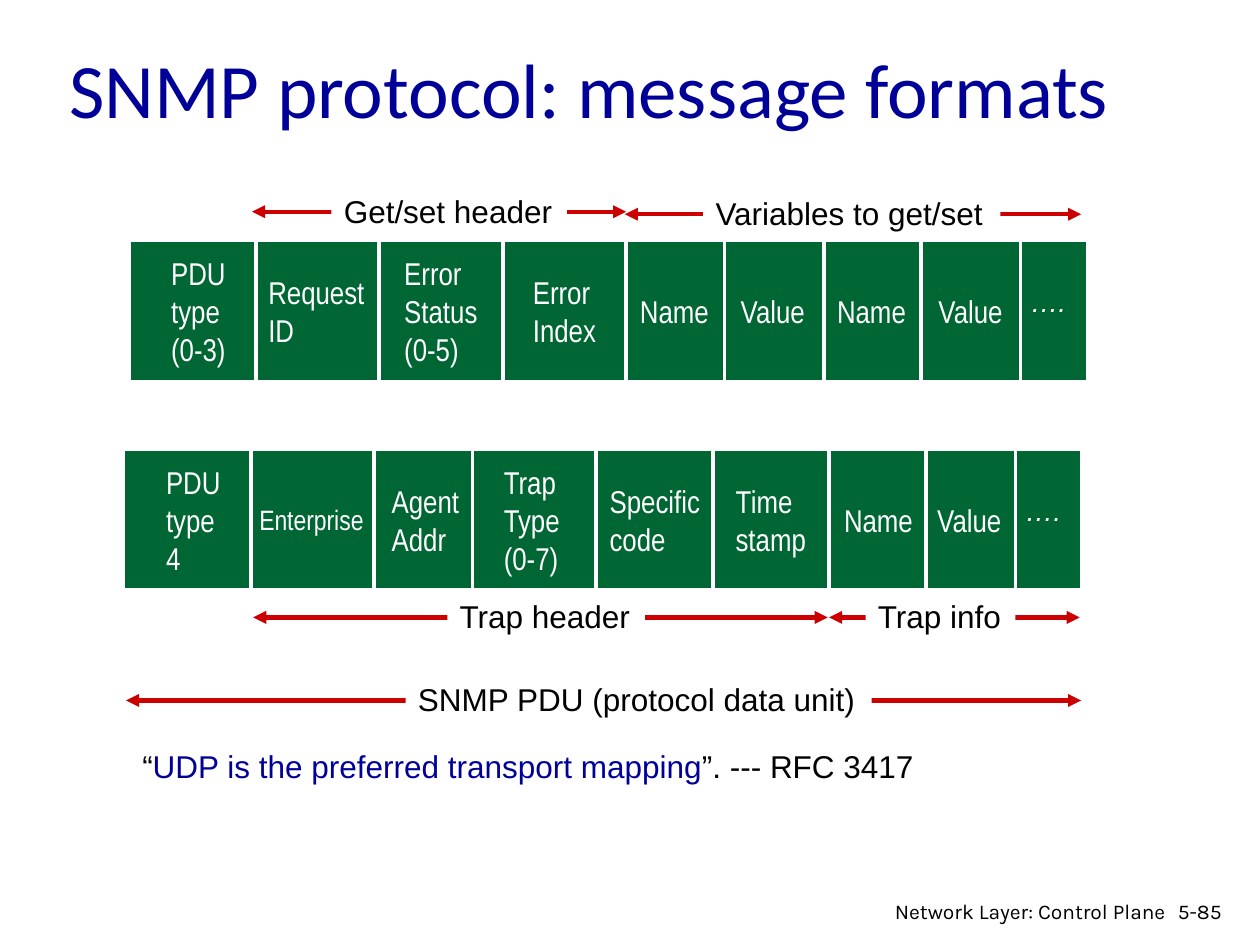
from pptx import Presentation
from pptx.dml.color import RGBColor
from pptx.enum.shapes import MSO_CONNECTOR as Connector, MSO_SHAPE as Shape
from pptx.enum.text import MSO_ANCHOR as Anchor, MSO_AUTO_SIZE as AutoSize, PP_ALIGN as Align
from pptx.oxml.ns import qn
from pptx.util import Pt
from lxml.etree import SubElement

WHITE, BLACK, GREEN, RED, BLUE = "FFFFFF", "000000", "006633", "CC0000", "000099"
color = RGBColor.from_string

presentation = Presentation()
presentation.slide_width, presentation.slide_height = Pt(720), Pt(540)
slide = presentation.slides.add_slide(presentation.slide_layouts[6])
shapes = slide.shapes


def add_text(text, left, top, width, height, size=18, font="Arial", ink=BLACK, fill=None,
             wrap=False, align=Align.LEFT, anchor=Anchor.TOP, italic=None, spacing=None):
    """Text is a string with line breaks, or one line given as (text, colour) runs."""
    box = shapes.add_textbox(Pt(left), Pt(top), Pt(width), Pt(height))
    if fill:
        box.fill.solid()
        box.fill.fore_color.rgb = color(fill)
    frame = box.text_frame
    frame.word_wrap = wrap
    frame.auto_size = AutoSize.NONE if wrap else AutoSize.SHAPE_TO_FIT_TEXT
    frame.vertical_anchor = anchor
    lines = [[(line, ink)] for line in text.split("\n")] if isinstance(text, str) else [text]
    for index, line in enumerate(lines):
        paragraph = frame.add_paragraph() if index else frame.paragraphs[0]
        paragraph.alignment = align
        if spacing:
            paragraph.line_spacing = Pt(spacing)
        for words, run_color in line:
            run = paragraph.add_run()
            run.text = words
            run.font.size, run.font.name, run.font.italic = Pt(size), font, italic
            run.font.color.rgb = color(run_color)


def add_line(x1, y1, x2, y2, ink, weight, arrows=False):
    connector = shapes.add_connector(Connector.STRAIGHT, Pt(x1), Pt(y1), Pt(x2), Pt(y2))
    connector.line.color.rgb = color(ink)
    connector.line.width = Pt(weight)
    if arrows:
        outline = connector.line._get_or_add_ln()
        for end in ("a:headEnd", "a:tailEnd"):
            SubElement(outline, qn(end), type="triangle")
    SubElement(connector._element.spPr, qn("a:effectLst"))


# Title
add_text("SNMP protocol: message formats", 32.4, 17.3, 612, 65.5, size=44, font="Calibri",
         ink=BLUE, wrap=True, anchor=Anchor.MIDDLE)

# Message rows: left, top, divider positions, fields as (text, left, width, size)
rows = [
    (74.2, 138.2, [146.2, 216.7, 287.3, 357.8, 414, 470.9, 526.3, 583.2],
     [("PDU\ntype\n(0-3)", 90.7, 46, 18), ("Request\nID", 146.2, 70, 18),
      ("Error\nStatus\n(0-5)", 223.9, 57, 18), ("Error\nIndex", 297.4, 51, 18),
      ("Name", 358.6, 54.5, 18), ("Value", 416.2, 52, 18),
      ("Name", 471.2, 54.5, 18), ("Value", 529.2, 52, 18)]),
    (71.3, 257.4, [143.3, 213.8, 270, 340.6, 407.5, 473.8, 529.2, 580.3],
     [("PDU\ntype\n4", 87.8, 46, 18), ("Enterprise", 141.1, 75, 16),
      ("Agent\nAddr", 216.7, 53.5, 18), ("Trap\nType\n(0-7)", 280.8, 47, 18),
      ("Specific\ncode", 341.3, 67, 18), ("Time\nstamp", 413.3, 55.5, 18),
      ("Name", 475.2, 54.5, 18), ("Value", 528.5, 52, 18)]),
]
ROW_WIDTH, ROW_HEIGHT = 546.5, 79.2
for left, top, dividers, fields in rows:
    bar = shapes.add_shape(Shape.RECTANGLE, Pt(left), Pt(top), Pt(ROW_WIDTH), Pt(ROW_HEIGHT))
    bar.shadow.inherit = False
    bar.fill.solid()
    bar.fill.fore_color.rgb = color(GREEN)
    bar.line.color.rgb = color(WHITE)
    bar.line.width = Pt(0.75)
    for x in dividers:
        add_line(x, top, x, top + ROW_HEIGHT + 1, WHITE, 2)
    middle = top + ROW_HEIGHT / 2
    for text, field_left, width, size in fields:
        height = 7.2 + 1.2 * size * (text.count("\n") + 1)
        add_text(text, field_left, middle - height / 2, width, height, size=size,
                 font="Arial Narrow", ink=WHITE)
    add_text("….", left + 507.6, middle - 11.3, 38.9, 20.5, size=16, ink=WHITE,
             italic=True, spacing=12)

# Span arrows, each broken by its label: x1, x2, y, text, label left, label width
spans = [
    (144, 357.8, 121, "Get/set header", 189.4, 134.6),
    (357.1, 617.8, 122.4, "Variables to get/set", 401.8, 169.9),
    (144.7, 473, 352.8, "Trap header", 255.6, 113),
    (473.8, 617, 352.8, "Trap info", 494.6, 85.7),
    (72, 617.8, 400.3, "SNMP PDU (protocol data unit)", 231.8, 266.4),
]
for x1, x2, y, text, label_left, label_width in spans:
    add_line(x1, y, x2, y, RED, 2.5, arrows=True)
    add_text(text, label_left, y - 15, label_width, 28.8, fill=WHITE)

# Quotation
add_text([("“", BLACK), ("UDP is the preferred transport mapping", BLUE),
          ("”. --- RFC 3417", BLACK)], 74.2, 423.4, 483.8, 28.8, wrap=True)

# Footer
add_text("Network Layer: Control Plane", 501.8, 509.8, 171.4, 18.7, size=12, font="Karla",
         wrap=True, align=Align.RIGHT)
add_text("5-85", 666, 509.8, 43.2, 21.6, size=12, font="Karla", wrap=True)

presentation.save("out.pptx")
